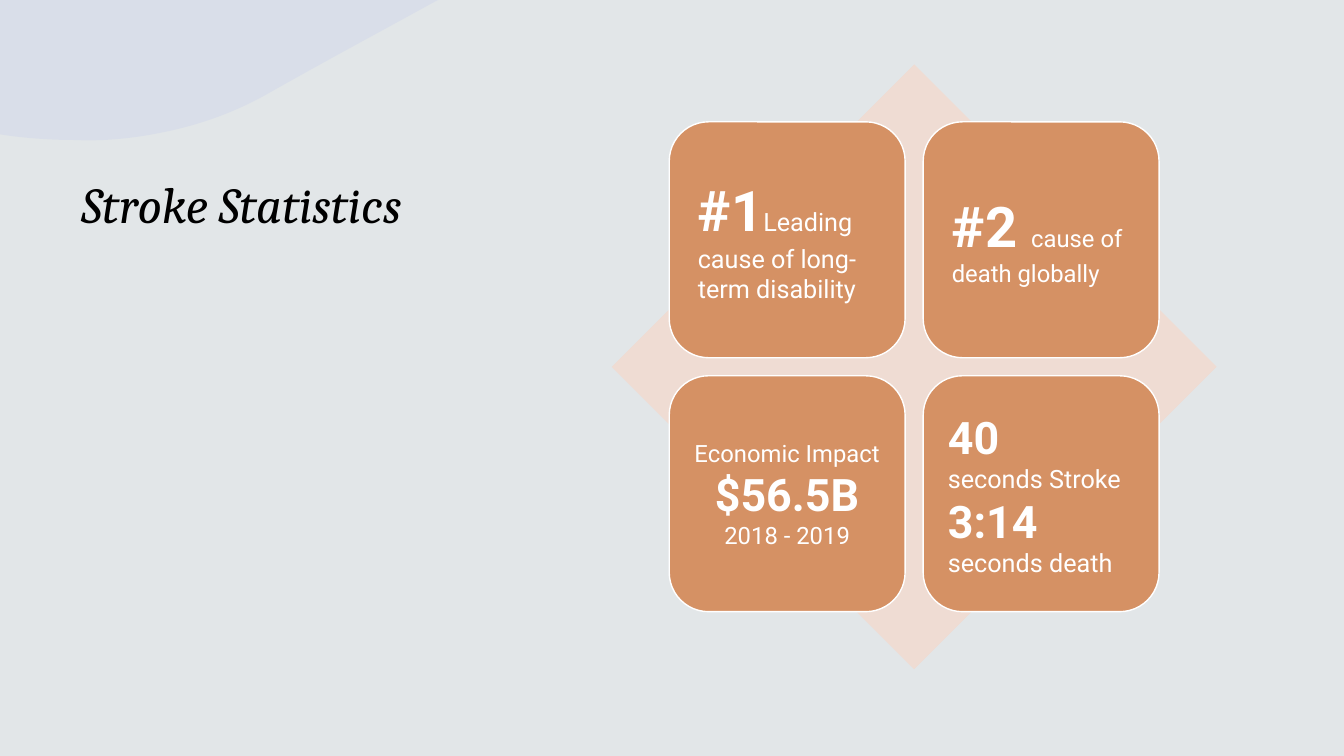
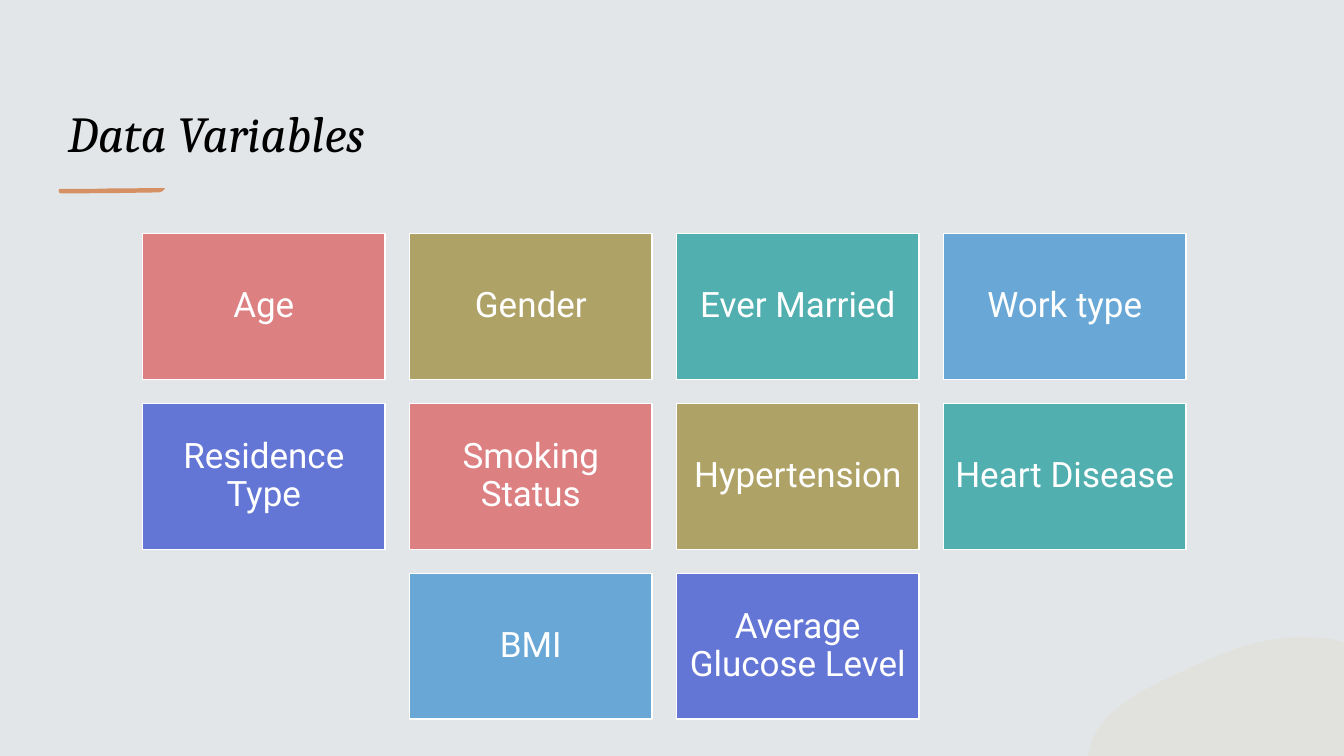
"""Build two slides: stroke statistics and the data variables studied."""
from lxml import etree
from pptx import Presentation
from pptx.dml.color import RGBColor
from pptx.enum.shapes import MSO_SHAPE
from pptx.enum.text import MSO_ANCHOR, MSO_AUTO_SIZE, PP_ALIGN
from pptx.oxml.ns import qn
from pptx.util import Pt

RECTANGLE, ROUNDED = MSO_SHAPE.RECTANGLE, MSO_SHAPE.ROUNDED_RECTANGLE
DIAMOND = MSO_SHAPE.DIAMOND
TOP, MIDDLE, BOTTOM = MSO_ANCHOR.TOP, MSO_ANCHOR.MIDDLE, MSO_ANCHOR.BOTTOM
LEFT, CENTER = PP_ALIGN.LEFT, PP_ALIGN.CENTER

TITLE_FONT, BODY_FONT = "Cambria", "Roboto"
BACKGROUND = RGBColor(0xE2, 0xE6, 0xE8)
BLACK = RGBColor(0, 0, 0)
WHITE = RGBColor(0xFF, 0xFF, 0xFF)
ORANGE = RGBColor(0xD5, 0x91, 0x64)
PEACH = RGBColor(0xEF, 0xDC, 0xD3)
LAVENDER = RGBColor(0xC1, 0xC8, 0xEE)
SAND = RGBColor(0xDF, 0xDA, 0xC2)
TILE_COLORS = [
    RGBColor(0xDC, 0x80, 0x81),
    RGBColor(0xAF, 0xA2, 0x66),
    RGBColor(0x52, 0xAF, 0xAF),
    RGBColor(0x69, 0xA8, 0xD6),
    RGBColor(0x64, 0x76, 0xD5),
]

# (alignment, inset, paragraphs of (text, size, bold) runs)
STATISTICS = [
    (LEFT, 12.2, [[("#1", 40, True),
                   ("Leading cause of long-term disability", 18, False)]]),
    (LEFT, 12.2, [[("#2 ", 40, True), ("cause of death globally", 17, False)]]),
    (CENTER, 5, [[("Economic Impact", 17, False)],
                 [("$56.5B", 32, True)],
                 [("2018 - 2019", 17, False)]]),
    (LEFT, 9.4, [[("40", 32, True)],
                 [("seconds Stroke", 18, False)],
                 [("3:14", 32, True), (" seconds death", 18, False)]]),
]
VARIABLE_ROWS = [
    ["Age", "Gender", "Ever Married", "Work type"],
    ["Residence Type", "Smoking Status", "Hypertension", "Heart Disease"],
    ["BMI", "Average Glucose Level"],
]

CORNER_WAVE = [
    [(53, 100)], [(38, 100), (22, 99), (7, 97)], [(0, 96)], [(0, 0)],
    [(313, 0)], [(311, 1)], [(271, 23), (230, 45), (193, 66)],
    [(167, 81), (140, 90), (114, 95)], [(94, 99), (73, 101), (53, 100)],
]
CORNER_HILL = [
    [(960, 540)], [(777, 540)], [(778, 536)],
    [(783, 509), (816, 492), (846, 479)],
    [(871, 467), (898, 455), (930, 455)],
    [(937, 455), (944, 456), (950, 456)], [(960, 459)],
]
BRUSH_STROKE = [
    [(42.5, 135)], [(64, 135)], [(80, 134.6)], [(118, 134.4)],
    [(116, 137), (115, 137.5), (112, 137.5)], [(80, 138)], [(43.5, 138.2)],
    [(42, 138), (41.5, 136), (42.5, 135)],
]


def curve_points(start, controls, steps=24):
    """Return points along a cubic curve after its start."""
    points = []
    for step in range(1, steps + 1):
        t = step / steps
        weights = ((1 - t) ** 3, 3 * t * (1 - t) ** 2, 3 * t * t * (1 - t), t ** 3)
        corners = (start, *controls)
        points.append(tuple(sum(w * corner[axis] for w, corner in zip(weights, corners))
                            for axis in (0, 1)))
    return points


def paint(shape, color, opacity=None, outline=None):
    """Give a shape a flat fill and an optional outline."""
    shape.shadow.inherit = False
    shape.fill.solid()
    shape.fill.fore_color.rgb = color
    if opacity is not None:
        color_node = shape.element.spPr.find(".//" + qn("a:srgbClr"))
        etree.SubElement(color_node, qn("a:alpha"), val=str(opacity * 1000))
    if outline is None:
        shape.line.fill.background()
    else:
        shape.line.color.rgb = outline
        shape.line.width = Pt(1)


def add_outline(page, steps, color, opacity=None):
    """Draw a closed outline: one point is a line, three are a curve."""
    points = [steps[0][0]]
    for step in steps[1:]:
        points += curve_points(points[-1], step) if len(step) == 3 else step
    vertices = [(Pt(x), Pt(y)) for x, y in points]
    builder = page.shapes.build_freeform(*vertices[0])
    builder.add_line_segments(vertices[1:], close=True)
    paint(builder.convert_to_shape(), color, opacity)


def add_box(page, kind, bounds, color, outline=None):
    """Add a preset shape at bounds in points."""
    box = page.shapes.add_shape(kind, *[Pt(length) for length in bounds])
    paint(box, color, outline=outline)
    return box


def add_span(para, text, font, size, color, bold=False, italic=False):
    """Add one formatted run."""
    span = para.add_run()
    span.text = text
    span.font.name, span.font.size = font, Pt(size)
    span.font.bold, span.font.italic = bold, italic
    span.font.color.rgb = color


def write_box(box, paragraphs, alignment, inset, spacing=1.0):
    """Write paragraphs of (text, size, bold) runs in a box."""
    frame = box.text_frame
    frame.word_wrap, frame.vertical_anchor = True, MIDDLE
    frame.margin_left = frame.margin_right = Pt(inset)
    frame.margin_top = frame.margin_bottom = Pt(inset)
    for index, runs in enumerate(paragraphs):
        para = frame.add_paragraph() if index else frame.paragraphs[0]
        para.alignment, para.line_spacing = alignment, spacing
        for text, size, bold in runs:
            add_span(para, text, BODY_FONT, size, WHITE, bold)


def add_page(deck, title, bounds, anchor):
    """Add a slide with its title in place."""
    page = deck.slides.add_slide(deck.slide_layouts[5])
    box = page.shapes.title
    box.left, box.top, box.width, box.height = [Pt(length) for length in bounds]
    frame = box.text_frame
    frame.auto_size, frame.word_wrap = MSO_AUTO_SIZE.NONE, True
    frame.vertical_anchor = anchor
    para = frame.paragraphs[0]
    para.alignment, para.line_spacing = LEFT, 1.0
    add_span(para, title, TITLE_FONT, 36, BLACK, italic=True)
    return page


def build_statistics(deck):
    """Four cards over a diamond."""
    page = add_page(deck, "Stroke Statistics", (51, 120.4, 348.5, 358), TOP)
    add_outline(page, CORNER_WAVE, LAVENDER, 25)
    left, top, side = 437, 46, 432
    add_box(page, DIAMOND, (left, top, side, side), PEACH)
    card, pitch = 168.5, 181.4
    margin = (side - card - pitch) / 2
    for index, (alignment, inset, paragraphs) in enumerate(STATISTICS):
        row, column = divmod(index, 2)
        bounds = (left + margin + column * pitch, top + margin + row * pitch, card, card)
        box = add_box(page, ROUNDED, bounds, ORANGE, WHITE)
        write_box(box, paragraphs, alignment, inset)


def build_variables(deck):
    """Rows of coloured tiles, each row centred."""
    page = add_page(deck, "Data Variables", (41.3, 55.3, 793.5, 64.8), BOTTOM)
    add_outline(page, BRUSH_STROKE, ORANGE)
    add_outline(page, CORNER_HILL, SAND, 25)
    width, height, gap = 173.3, 104, 17.4
    middle, top = 474.5, 166.9
    count = 0
    for row, names in enumerate(VARIABLE_ROWS):
        left = middle - (len(names) * (width + gap) - gap) / 2
        for column, name in enumerate(names):
            bounds = (left + column * (width + gap), top + row * (height + gap), width, height)
            color = TILE_COLORS[count % len(TILE_COLORS)]
            box = add_box(page, RECTANGLE, bounds, color, WHITE)
            write_box(box, [[(name, 25, False)]], CENTER, 7.2, 0.9)
            count += 1


def main():
    """Build and save the deck."""
    deck = Presentation()
    deck.slide_width, deck.slide_height = Pt(960), Pt(540)
    backdrop = deck.slide_master.background.fill
    backdrop.solid()
    backdrop.fore_color.rgb = BACKGROUND
    build_statistics(deck)
    build_variables(deck)
    deck.save("out.pptx")


if __name__ == "__main__":
    main()
